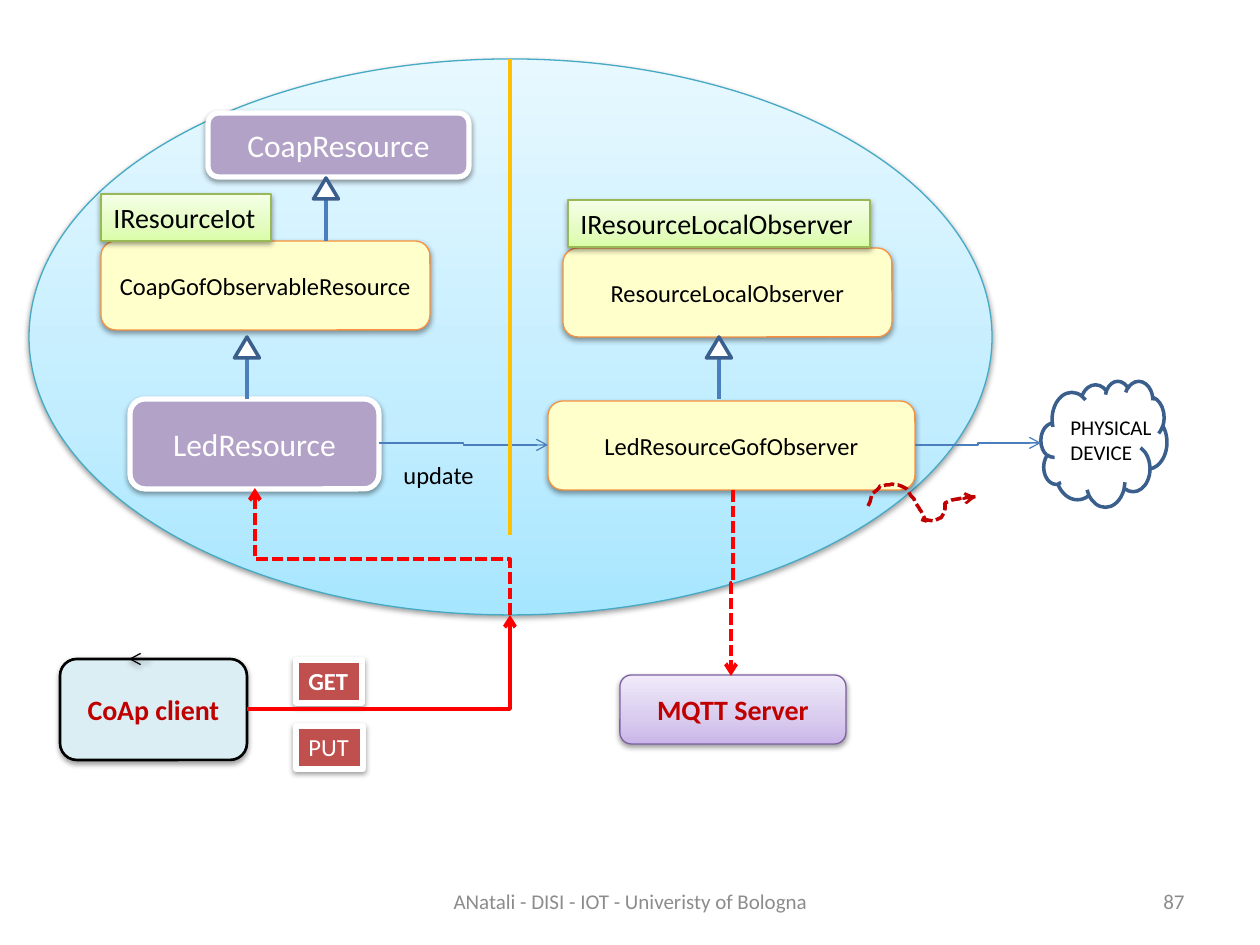
"""Build the slide on observable CoAP resources and their local observers."""
import pptx
import pptx.dml.color
import pptx.enum.dml
import pptx.enum.shapes
import pptx.enum.text
import pptx.oxml
import pptx.oxml.ns
import pptx.util
import lxml.etree

PX = 914400 / 126
THEME = {
    "font": "Calibri",
    "black": "000000", "white": "FFFFFF", "grey": "8C8C8C", "dark_red": "C00000",
    "red": "FF0000", "blue": "4B7EBC", "navy": "3A5F8C", "amber": "FFC000",
    "title": 18, "label": 16, "body": 14, "small": 12,
    "thin": 0.75, "medium": 2, "thick": 2.25,
}
SKY = ("A7E6FF", "C1EDFF", "E7F8FF")
LIME = ("DAFDA7", "E4FCC2", "F5FFE7")
LILAC = ("C9B5E8", "D8CBEE", "F0EAF9")
STOPS = (0, 35000, 100000)

# style: preset, fill, line colour, line width, text size, text colour, bold, fits its text
STYLES = {
    "system": ("OVAL", SKY, "46AAC5", 0.75, "body", "black", False, False),
    "resource": ("ROUNDED_RECTANGLE", "B3A2C7", "FFFFFF", 3, "title", "white", False, False),
    "class": ("ROUNDED_RECTANGLE", "FFFFCC", "F69240", 0.75, "body", "black", False, False),
    "interface": ("RECTANGLE", LIME, "98B955", 0.75, "label", "black", False, True),
    "client": ("ROUNDED_RECTANGLE", "DBEEF4", "000000", 1.5, "label", "dark_red", True, False),
    "server": ("ROUNDED_RECTANGLE", LILAC, "7D60A0", 0.75, "label", "dark_red", True, False),
    "verb": ("RECTANGLE", "C0504D", "FFFFFF", 3, "body", "white", False, True),
    "main verb": ("RECTANGLE", "C0504D", "FFFFFF", 3, "body", "white", True, True),
    "device": ("CLOUD", "FFFFFF", "3A5F8C", 2, "small", "black", False, False),
}
NODES = [
    ("system", "", (29, 59, 963, 556)),
    ("resource", "LedResource", (130, 399, 249, 90)),
    ("class", "CoapGofObservableResource", (101, 241, 329, 89)),
    ("device", "", (1041, 381, 126, 126)),
    ("interface", "IResourceIot", (101, 194, 170, 47)),
    ("class", "LedResourceGofObserver", (548, 401, 367, 89)),
    ("class", "ResourceLocalObserver", (563, 248, 329, 89)),
    ("interface", "IResourceLocalObserver", (568, 200, 302, 47)),
    ("client", "CoAp client", (60, 659, 187, 101)),
    ("main verb", "GET", (296, 660, 66, 43)),
    ("verb", "PUT", (296, 726, 67, 43)),
    ("server", "MQTT Server", (620, 675, 226, 69)),
    ("resource", "CoapResource", (208, 113, 261, 64)),
]
INHERITANCE = [(719, 337, 399), (247, 337, 399), (326, 178, 241)]
# link: bend, begin, end, colour, width, dashed, arrow
LINKS = [
    ("across", (915, 445), (1041, 443), "blue", 0.75, False, True),
    ("across", (379, 443), (548, 445), "blue", 0.75, False, True),
    ("straight", (150, 659), (129, 659), "black", 0.75, False, True),
    ("corner", (247, 709), (510, 615), "red", 2.25, False, True),
    ("down", (510, 615), (255, 488), "red", 2.25, True, True),
    ("down", (733, 490), (731, 676), "red", 2.25, True, True),
    ("straight", (952, 500), (976, 497), "dark_red", 1.5, True, True),
    ("straight", (510, 59), (510, 535), "amber", 2.25, False, False),
]
WAVE = [
    (868, 506), (870, 502), (872, 494), (877, 490), (879, 488), (880, 486), (883, 486),
    (886, 485), (889, 485), (892, 484), (895, 485), (898, 485), (901, 486), (907, 489),
    (911, 496), (914, 499), (915, 502), (917, 505), (919, 508), (920, 510), (921, 511),
    (922, 513), (926, 521), (920, 519), (934, 521), (940, 518), (941, 518), (944, 513),
    (945, 509), (945, 503), (952, 500), (963, 498), (966, 497), (976, 497),
]
# text: lines, box, size, colour, alignment, wraps
TEXTS = [
    (["update"], (391, 454, 97, 43), "body", "black", "LEFT", False),
    (["PHYSICAL", "DEVICE"], (1058, 408, 107, 63), "small", "black", "LEFT", False),
    (["ANatali - DISI - IOT - Univeristy of Bologna"], (431, 876, 399, 50),
     "small", "grey", "CENTER", True),
    (["87"], (903, 876, 294, 50), "small", "grey", "RIGHT", True),
]


def emu(*lengths):
    return [round(length * PX) for length in lengths]


def rgb(value):
    return pptx.dml.color.RGBColor.from_string(value)


def add_effects(shape, shadowed):
    namespace = pptx.oxml.ns.nsdecls("a")
    shadow = (
        '<a:outerShdw blurRad="40000" dist="20000" dir="5400000" rotWithShape="0">'
        '<a:srgbClr val="000000"><a:alpha val="38000"/></a:srgbClr></a:outerShdw>'
    ) if shadowed else ""
    shape._element.spPr.append(
        pptx.oxml.parse_xml(f"<a:effectLst {namespace}>{shadow}</a:effectLst>"))


def set_fill(shape, colours):
    if isinstance(colours, str):
        shape.fill.solid()
        shape.fill.fore_color.rgb = rgb(colours)
        return
    shape.fill.gradient()
    shape.fill.gradient_angle = 90
    qn = pptx.oxml.ns.qn
    stop_list = shape._element.spPr.find(".//" + qn("a:gsLst"))
    for stop in list(stop_list):
        stop_list.remove(stop)
    for position, colour in zip(STOPS, colours):
        stop = lxml.etree.SubElement(stop_list, qn("a:gs"), pos=str(position))
        lxml.etree.SubElement(stop, qn("a:srgbClr"), val=colour)


def set_line(shape, colour, width, dashed=False, arrow=False):
    shape.line.color.rgb = rgb(colour)
    shape.line.width = pptx.util.Pt(width)
    if dashed:
        shape.line.dash_style = pptx.enum.dml.MSO_LINE.SQUARE_DOT
    if arrow:
        outline = shape._element.spPr.find(pptx.oxml.ns.qn("a:ln"))
        lxml.etree.SubElement(outline, pptx.oxml.ns.qn("a:tailEnd"), type="arrow")


def set_text(box, lines, size, colour, align, anchor, wrap, bold=False):
    frame = box.text_frame
    frame.text = "\n".join(lines)
    frame.word_wrap = wrap
    frame.vertical_anchor = pptx.enum.text.MSO_ANCHOR[anchor]
    if not wrap:
        frame.auto_size = pptx.enum.text.MSO_AUTO_SIZE.SHAPE_TO_FIT_TEXT
    for para in frame.paragraphs:
        para.alignment = pptx.enum.text.PP_ALIGN[align]
        for span in para.runs:
            span.font.name = THEME["font"]
            span.font.size = pptx.util.Pt(THEME[size])
            span.font.bold = bold
            span.font.color.rgb = rgb(THEME[colour])


def add_node(page, style, label, place):
    preset, fill, line, width, size, colour, bold, fits = STYLES[style]
    node = page.shapes.add_shape(pptx.enum.shapes.MSO_SHAPE[preset], *emu(*place))
    set_fill(node, fill)
    set_line(node, line, width)
    add_effects(node, style != "device")
    if label:
        align, anchor = ("LEFT", "TOP") if fits else ("CENTER", "MIDDLE")
        set_text(node, [label], size, colour, align, anchor, not fits, bold)


def add_link(page, bend, begin, end, colour, width, dashed, arrow):
    kinds = pptx.enum.shapes.MSO_CONNECTOR
    kind = kinds.STRAIGHT if bend == "straight" else kinds.ELBOW
    points = [begin, end]
    if bend == "down":
        middle_x, middle_y = [(a + b) / 2 for a, b in zip(begin, end)]
        points = [(middle_x + y - middle_y, middle_y - x + middle_x) for x, y in points]
    link = page.shapes.add_connector(kind, *emu(*points[0], *points[1]))
    properties = link._element.spPr
    if bend == "down":
        properties.find(pptx.oxml.ns.qn("a:xfrm")).set("rot", "5400000")
    if bend == "corner":
        properties.find(pptx.oxml.ns.qn("a:prstGeom")).set("prst", "bentConnector2")
    if bend == "down" and end[1] < begin[1]:
        guides = properties.find(".//" + pptx.oxml.ns.qn("a:avLst"))
        lxml.etree.SubElement(
            guides, pptx.oxml.ns.qn("a:gd"), name="adj1", fmla="val 43900")
    set_line(link, colour, width, dashed, arrow)
    add_effects(link, colour == THEME["black"])


def add_inheritance(page, centre, top, bottom):
    base = top + 22
    add_link(page, "straight", (centre, base), (centre, bottom),
             THEME["blue"], THEME["thick"], False, False)
    head = page.shapes.add_shape(
        pptx.enum.shapes.MSO_SHAPE.ISOSCELES_TRIANGLE, *emu(centre - 12.5, top, 25, 21))
    set_fill(head, THEME["white"])
    set_line(head, THEME["navy"], THEME["medium"])
    add_effects(head, False)


def add_wave(page):
    builder = page.shapes.build_freeform(*WAVE[0], scale=PX)
    builder.add_line_segments(WAVE[1:], close=False)
    wave = builder.convert_to_shape()
    wave.fill.background()
    set_line(wave, THEME["dark_red"], THEME["medium"], dashed=True)
    add_effects(wave, False)


def main():
    deck = pptx.Presentation()
    deck.slide_width, deck.slide_height = emu(1260, 945)
    page = deck.slides.add_slide(deck.slide_layouts[6])
    for node in NODES:
        add_node(page, *node)
    for arrow in INHERITANCE:
        add_inheritance(page, *arrow)
    add_wave(page)
    for bend, begin, end, colour, *rest in LINKS:
        add_link(page, bend, begin, end, THEME[colour], *rest)
    for lines, place, size, colour, align, wrap in TEXTS:
        box = page.shapes.add_textbox(*emu(*place))
        set_text(box, lines, size, colour, align, "MIDDLE" if wrap else "TOP", wrap)
    deck.save("out.pptx")


if __name__ == "__main__":
    main()
